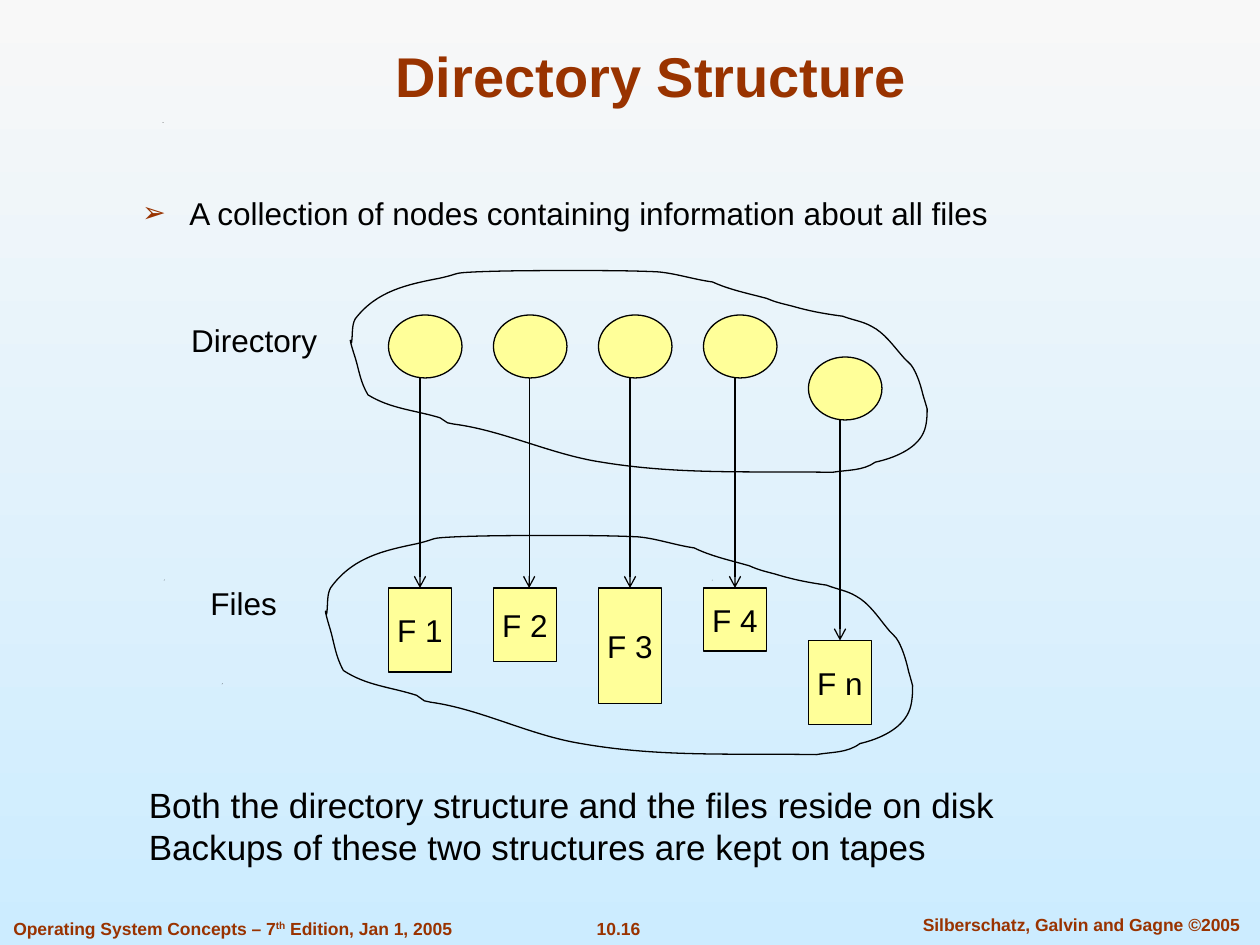
from lxml.etree import SubElement
from pptx import Presentation
from pptx.dml.color import RGBColor
from pptx.enum.shapes import MSO_CONNECTOR, MSO_SHAPE
from pptx.enum.text import MSO_ANCHOR, PP_ALIGN
from pptx.oxml.ns import qn
from pptx.util import Pt

OUTLINE_SIZE = (457, 160)
OUTLINE_START = (1, 57)
OUTLINE_CURVES = [
    (2, 50, 1, 43, 4, 38), (21, 16, 45, 11, 71, 6), (89, 2, 79, 2, 101, 1),
    (126, 0, 151, 0, 177, 0), (199, 0, 221, 0, 243, 1), (257, 2, 272, 7, 287, 9),
    (300, 15, 315, 18, 330, 22), (337, 25, 342, 26, 350, 28), (364, 32, 375, 34, 390, 36),
    (398, 39, 406, 40, 413, 44), (423, 49, 430, 59, 437, 67), (440, 71, 444, 73, 446, 77),
    (450, 84, 452, 91, 454, 99), (455, 102, 457, 109, 457, 109),
    (457, 113, 457, 122, 454, 128), (448, 141, 430, 148, 416, 151),
    (406, 158, 394, 157, 382, 159), (318, 158, 260, 161, 199, 151),
    (159, 145, 121, 126, 82, 121), (80, 121, 79, 120, 77, 120),
    (75, 119, 73, 117, 71, 116), (51, 110, 32, 109, 14, 98), (8, 88, 7, 79, 4, 69),
    (4, 69, 0, 57, 0, 55), (0, 54, 1, 56, 1, 57),
]


def rgb(value):
    return RGBColor.from_string(value)


def add_bullet(p, char, color, percent, indent):
    pPr = p._p.get_or_add_pPr()
    pPr.set("marL", str(Pt(indent)))
    pPr.set("indent", str(-Pt(indent)))
    clr = SubElement(pPr, qn("a:buClr"))
    SubElement(clr, qn("a:srgbClr")).set("val", color)
    SubElement(pPr, qn("a:buSzPct")).set("val", str(percent * 1000))
    SubElement(pPr, qn("a:buFont")).set("typeface", "Arial")
    SubElement(pPr, qn("a:buChar")).set("char", char)


def write(tf, text, size=18, color="000000", bold=False, align=PP_ALIGN.LEFT,
          anchor=MSO_ANCHOR.TOP, wrap=True, spacing=None, bullet=None, raised=None):
    tf.word_wrap = wrap
    tf.vertical_anchor = anchor
    for i, line in enumerate(text.split("\n")):
        p = tf.add_paragraph() if i else tf.paragraphs[0]
        p.alignment = align
        if spacing:
            p.line_spacing = spacing
        if bullet:
            add_bullet(p, bullet, "993300", 90, 27)
        before, mark, after = line.partition(raised) if raised else (line, "", "")
        for part in filter(None, (before, mark, after)):
            r = p.add_run()
            r.text = part
            r.font.name = "Arial"
            r.font.size = Pt(size)
            r.font.bold = bold
            r.font.color.rgb = rgb(color)
            if part == raised:
                r.font._element.set("baseline", "30000")


class Board:
    """Draws the elements of the current slide in one style."""

    ink, brown, yellow, weight = "000000", "993300", "FFFF99", 0.75

    def __init__(self, prs):
        self.s = prs.slides.add_slide(prs.slide_layouts[6])

    def background(self, top, bottom):
        fill = self.s.background.fill
        fill.gradient()
        fill.gradient_angle = 270
        for stop, color, position in zip(fill.gradient_stops, (top, bottom), (0, 1)):
            stop.color.rgb = rgb(color)
            stop.position = position

    def text(self, x, y, w, h, text, **style):
        sp = self.s.shapes.add_textbox(Pt(x), Pt(y), Pt(w), Pt(h))
        write(sp.text_frame, text, **style)

    def stroke(self, line):
        line.color.rgb = rgb(self.ink)
        line.width = Pt(self.weight)

    def node(self, kind, x, y, w, h, label=None):
        sp = self.s.shapes.add_shape(kind, Pt(x), Pt(y), Pt(w), Pt(h))
        sp.shadow.inherit = False
        sp.fill.solid()
        sp.fill.fore_color.rgb = rgb(self.yellow)
        self.stroke(sp.line)
        if label:
            write(sp.text_frame, label, align=PP_ALIGN.CENTER,
                  anchor=MSO_ANCHOR.MIDDLE, wrap=False)
        return sp

    def arrow(self, x, top, bottom, target=None):
        c = self.s.shapes.add_connector(MSO_CONNECTOR.STRAIGHT, Pt(x), Pt(top), Pt(x), Pt(bottom))
        self.stroke(c.line)
        SubElement(c.line._get_or_add_ln(), qn("a:tailEnd")).set("type", "arrow")
        SubElement(c._element.spPr, qn("a:effectLst"))
        if target is not None:
            c.end_connect(target, 0)

    def polygon(self, points):
        first, *rest = [(Pt(x), Pt(y)) for x, y in points]
        builder = self.s.shapes.build_freeform(*first)
        builder.add_line_segments(rest, close=True)
        sp = builder.convert_to_shape()
        sp.shadow.inherit = False
        return sp

    def cloud(self, x, y, w, h):
        kx, ky = w / OUTLINE_SIZE[0], h / OUTLINE_SIZE[1]
        ends = [OUTLINE_START] + [curve[4:] for curve in OUTLINE_CURVES]
        sp = self.polygon([(x + px * kx, y + py * ky) for px, py in ends])
        segments = list(sp._element.iter(qn("a:lnTo")))
        for segment, curve in zip(segments, OUTLINE_CURVES):
            segment.tag = qn("a:cubicBezTo")
            for i in (0, 2):
                pt = SubElement(segment, qn("a:pt"))
                pt.set("x", str(Pt(curve[i] * kx)))
                pt.set("y", str(Pt(curve[i + 1] * ky)))
            segment.append(segment[0])
        sp.fill.background()
        self.stroke(sp.line)

    def speck(self, x, y):
        sp = self.polygon([(x, y + 0.5), (x + 0.5, y), (x + 0.3, y + 0.5)])
        sp.fill.solid()
        sp.fill.fore_color.rgb = rgb(self.ink)
        sp.line.fill.background()


def main():
    prs = Presentation()
    prs.slide_width, prs.slide_height = Pt(720), Pt(540)
    board = Board(prs)
    board.background("F8F8F8", "CCECFF")

    footer = dict(size=10, color=board.brown, bold=True)
    center = PP_ALIGN.CENTER
    board.text(315.4, 520.9, 76, 19.5, "10.16", align=center, wrap=False, **footer)
    board.text(511, 518.8, 213.8, 19.5, "Silberschatz, Galvin and Gagne ©2005",
               align=center, **footer)
    board.text(0.5, 520.9, 265, 19.5, "Operating System Concepts – 7th Edition, Jan 1, 2005",
               wrap=False, raised="th", **footer)
    for x, y in ((126.7, 390.5), (93.6, 331.2), (406.8, 331.2), (92.9, 69.8)):
        board.speck(x, y)

    board.text(54, 17.6, 636, 48, "Directory Structure", size=32, color=board.brown,
               bold=True, align=center, anchor=MSO_ANCHOR.BOTTOM)
    board.text(74.2, 109.5, 518.5, 27.5,
               "A collection of nodes containing information about all files",
               spacing=0.9, bullet="➢")

    files = [("F 1", 48, 0, 0), ("F 2", 42, 0, 2.4), ("F 3", 66, 0, 0),
             ("F 4", 36, 0, 0), ("F n", 48, 1, 0)]
    for i, (label, height, lowered, shift) in enumerate(files):
        x, entry_y, file_y = 222 + 60 * i, 180 + 24 * lowered, 336 + 30 * lowered
        board.node(MSO_SHAPE.OVAL, x, entry_y, 42, 36)
        box = board.node(MSO_SHAPE.RECTANGLE, x, file_y, 36, height, label)
        board.arrow(x + 18 + shift, entry_y + 36, file_y, None if shift else box)

    board.cloud(200.2, 154.6, 329.6, 116)
    board.cloud(186, 306, 335.5, 126)
    for x, y, w, label in ((102, 180, 86.5, "Directory"), (113, 330, 52.5, "Files")):
        board.text(x, y, w, 29, label, align=center, anchor=MSO_ANCHOR.MIDDLE, wrap=False)
    board.text(78, 444, 554, 30, "Both the directory structure and the files reside on disk\n"
               "Backups of these two structures are kept on tapes", size=20)
    prs.save("out.pptx")


if __name__ == "__main__":
    main()
